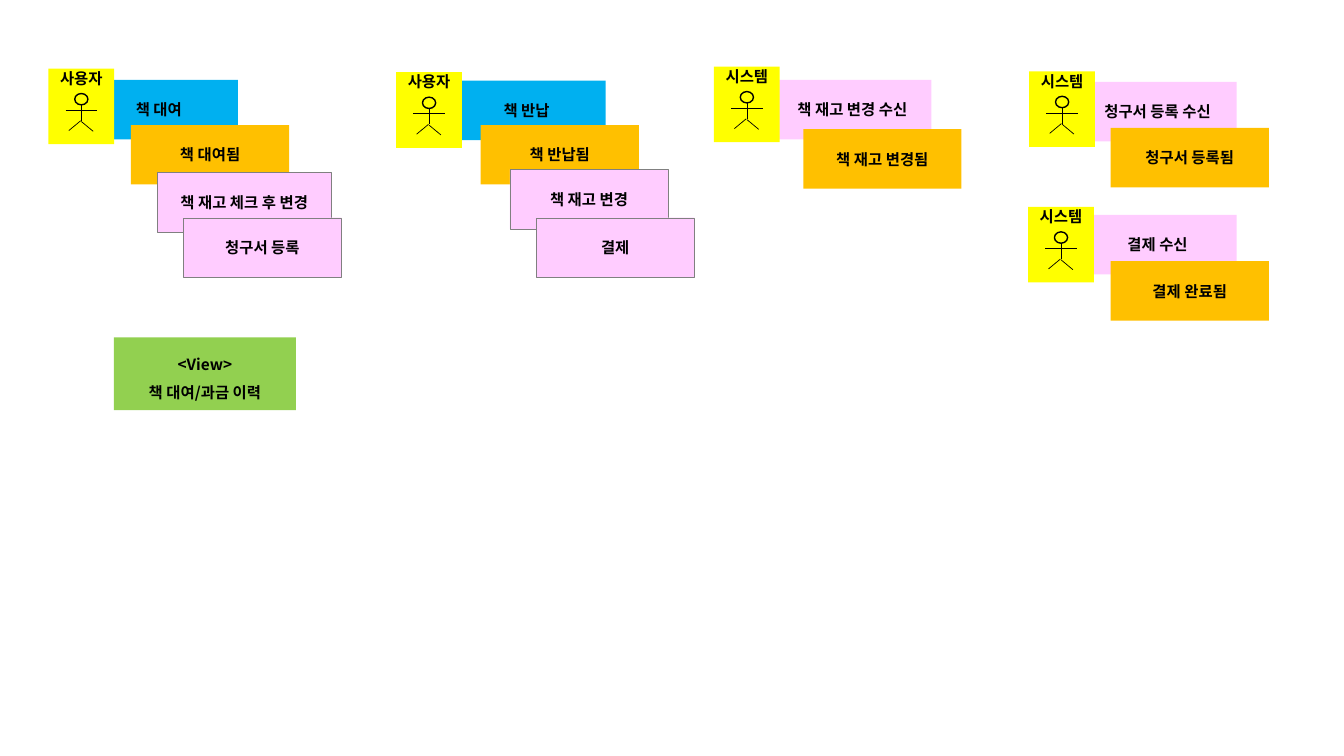
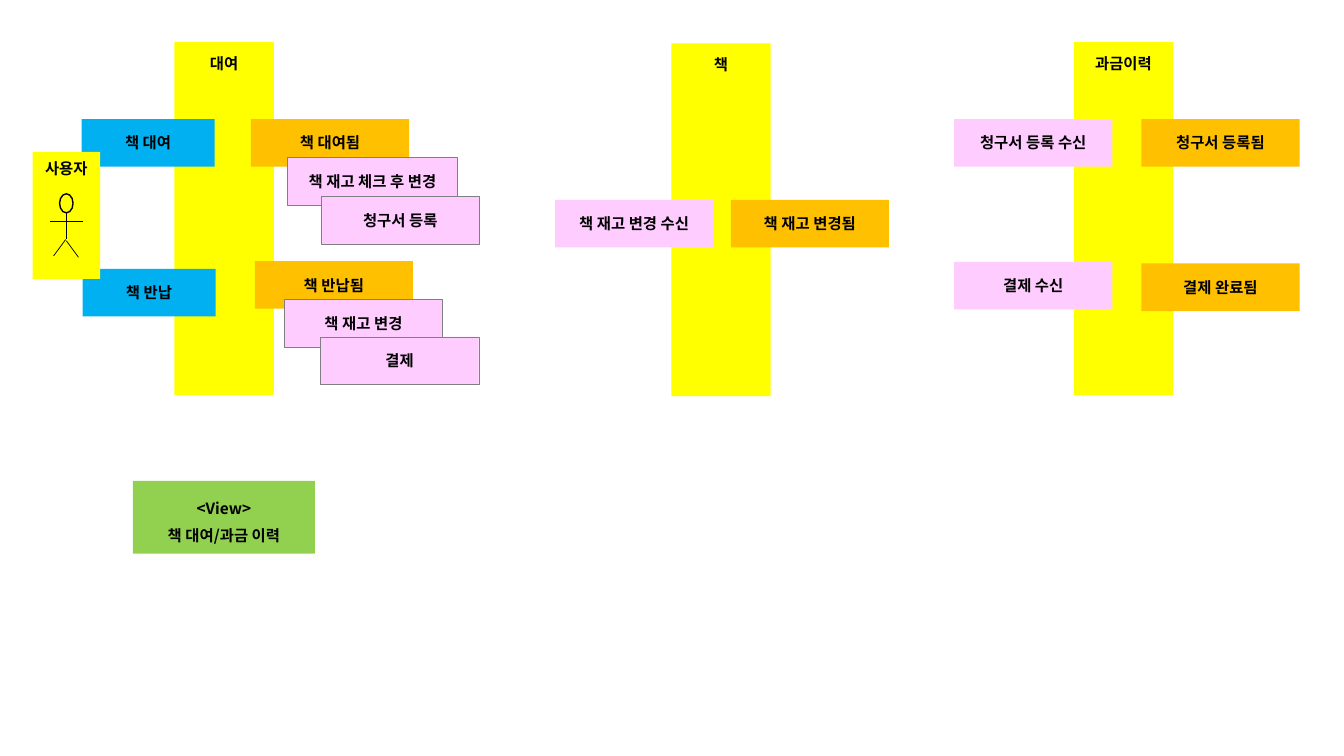
from dataclasses import dataclass

from lxml import etree
from pptx import Presentation
from pptx.dml.color import RGBColor
from pptx.enum.shapes import MSO_CONNECTOR, MSO_SHAPE
from pptx.enum.text import MSO_ANCHOR, PP_ALIGN
from pptx.oxml.ns import qn
from pptx.util import Pt

RECT, OVAL = MSO_SHAPE.RECTANGLE, MSO_SHAPE.OVAL
LINE = MSO_CONNECTOR.STRAIGHT
TOP, MID = MSO_ANCHOR.TOP, MSO_ANCHOR.MIDDLE
CENTER = PP_ALIGN.CENTER


@dataclass(frozen=True)
class Theme:
    font: str = "Noto Sans CJK KR"
    size: float = 11
    ink: str = "000000"
    edge: str = "808080"
    blue: str = "00B0F0"
    gold: str = "FFC000"
    pink: str = "FFCCFF"
    yellow: str = "FFFF00"
    green: str = "92D050"
    thin: float = 0.25
    limb: float = 0.5
    head: float = 1


THEME = Theme()

# Note kinds: fill and outline
KINDS = {
    "command": (THEME.blue, None),
    "event": (THEME.gold, None),
    "policy": (THEME.pink, THEME.edge),
    "inbox": (THEME.pink, None),
}

VIEW = ("<View>", "책 대여/과금 이력")

# Notes: text, kind, left, top and, where it differs, width
FLOW_NOTES = [
    ("책 대여", "command", 57, 57),
    ("책 대여됨", "event", 93.6, 89.3),
    ("책 재고 체크 후 변경", "policy", 112.5, 123.1, 124),
    ("청구서 등록", "policy", 131, 155.5),
    ("책 반납", "command", 319.7, 57.6),
    ("책 반납됨", "event", 343.4, 89.3),
    ("책 재고 변경", "policy", 364.3, 121),
    ("결제", "policy", 383, 155.5),
    ("책 재고 변경 수신", "inbox", 552.4, 57),
    ("책 재고 변경됨", "event", 573.8, 92.2),
    ("청구서 등록 수신", "inbox", 770.4, 58.5),
    ("청구서 등록됨", "event", 793.4, 91.4),
    ("결제 수신", "inbox", 770.4, 153.5),
    ("결제 완료됨", "event", 793.4, 186.5),
]
FLOW_ACTORS = [
    ("사용자", 34.6, 49),
    ("사용자", 283, 51.6),
    ("시스템", 510, 47.6),
    ("시스템", 735.2, 51),
    ("시스템", 734.4, 147.8),
]
LANES = [("대여", 124.6, 30.2), ("책", 479.5, 31), ("과금이력", 767, 30.2)]
LANE_NOTES = [
    ("책 대여", "command", 58.3, 85, 95),
    ("책 반납", "command", 59, 192, 95),
    ("책 대여됨", "event", 179.3, 85),
    ("책 재고 체크 후 변경", "policy", 205.2, 112.3, 121.7),
    ("청구서 등록", "policy", 229.5, 140.3),
    ("책 반납됨", "event", 182, 186.5),
    ("책 재고 변경", "policy", 203.2, 214),
    ("결제", "policy", 229, 240.7),
    ("책 재고 변경 수신", "inbox", 396.5, 142.8),
    ("책 재고 변경됨", "event", 522, 142.8),
    ("청구서 등록 수신", "inbox", 681.6, 85),
    ("청구서 등록됨", "event", 815.3, 85),
    ("결제 수신", "inbox", 681.6, 187),
    ("결제 완료됨", "event", 815.3, 188.2),
]

# Limbs of a stick figure, as shares of its card
LIMBS = [
    ((0.26, 0.55), (0.74, 0.55)),
    ((0.5, 0.48), (0.5, 0.69)),
    ((0.49, 0.69), (0.31, 0.82)),
    ((0.5, 0.7), (0.68, 0.83)),
]


def color(code):
    return RGBColor.from_string(code)


def write(shape, *lines, anchor=MID, top=0, bottom=0, gap=None):
    frame = shape.text_frame
    frame.word_wrap = True
    frame.vertical_anchor = anchor
    frame.margin_left = frame.margin_right = 0
    frame.margin_top, frame.margin_bottom = Pt(top), Pt(bottom)
    for i, line in enumerate(lines):
        para = frame.paragraphs[0] if i == 0 else frame.add_paragraph()
        para.alignment = CENTER
        para.line_spacing = gap
        run = para.add_run()
        run.text = line
        font = run.font
        font.name, font.size, font.bold = THEME.font, Pt(THEME.size), True
        font.color.rgb = color(THEME.ink)
        # Korean text takes the East Asian face
        face = etree.SubElement(run._r.get_or_add_rPr(), qn("a:ea"))
        face.set("typeface", THEME.font)


def block(shapes, x, y, w, h, fill, edge=None, weight=THEME.thin, form=RECT):
    shape = shapes.add_shape(form, Pt(x), Pt(y), Pt(w), Pt(h))
    shape.shadow.inherit = False
    shape.fill.solid()
    shape.fill.fore_color.rgb = color(fill)
    if edge:
        shape.line.color.rgb = color(edge)
        shape.line.width = Pt(weight)
    else:
        shape.line.fill.background()
    return shape


def stroke(shapes, x1, y1, x2, y2):
    line = shapes.add_connector(LINE, Pt(x1), Pt(y1), Pt(x2), Pt(y2))
    line.line.color.rgb = color(THEME.ink)
    line.line.width = Pt(THEME.limb)
    etree.SubElement(line._element.spPr, qn("a:effectLst"))


def note(shapes, text, kind, x, y, w=113, h=42.5):
    write(block(shapes, x, y, w, h, *KINDS[kind]), text)


def actor(shapes, text, x, y, w=47, h=54, mid=6.8):
    """Card with a stick figure; mid is the label's centre below the top."""
    parts = shapes.add_group_shape().shapes
    card = block(parts, x, y, w, h, THEME.yellow)
    write(card, text, bottom=h - 2 * mid)
    block(parts, x + 0.4 * w, y + 0.33 * h, 0.2 * w, 0.15 * h,
          THEME.yellow, THEME.ink, THEME.head, OVAL)
    for (ax, ay), (bx, by) in LIMBS:
        stroke(parts, x + ax * w, y + ay * h, x + bx * w, y + by * h)


def lane(shapes, text, x, y):
    write(block(shapes, x, y, 71, 252, THEME.yellow), text, anchor=TOP, top=8.6)


def view(shapes, x, y):
    write(block(shapes, x, y, 130, 52, THEME.green), *VIEW, gap=1.5)


def main():
    deck = Presentation()
    deck.slide_width, deck.slide_height = Pt(960), Pt(540)
    blank = deck.slide_layouts[6]

    # Event flow by actor
    flow = deck.slides.add_slide(blank).shapes
    for item in FLOW_NOTES:
        note(flow, *item)
    for item in FLOW_ACTORS:
        actor(flow, *item)
    view(flow, 81.4, 241)

    # Notes grouped around aggregates
    board = deck.slides.add_slide(blank).shapes
    for item in LANES:
        lane(board, *item)
    view(board, 95, 343.5)
    for item in LANE_NOTES:
        note(board, *item, h=34)
    actor(board, "사용자", 23.3, 108.5, w=48.2, h=90.7, mid=12)

    deck.save("out.pptx")


main()
